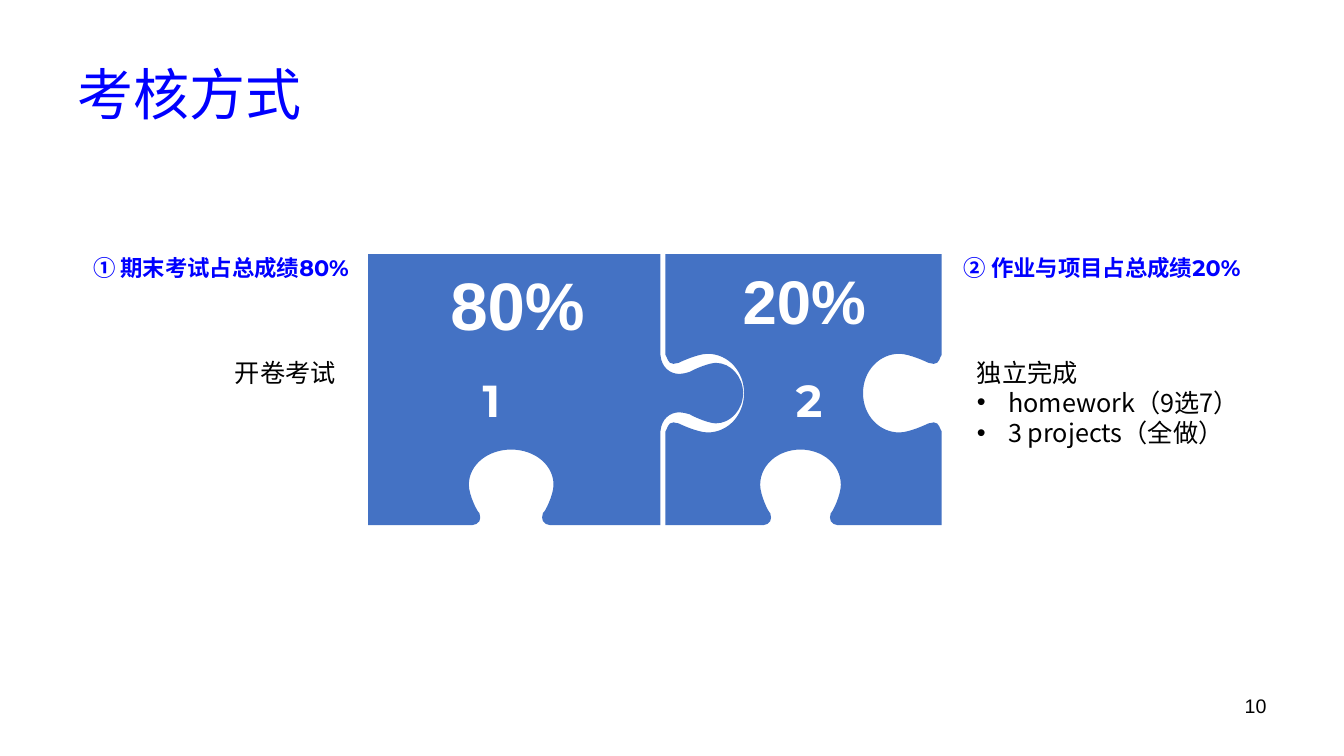
from lxml import etree
from pptx import Presentation
from pptx import util as u
from pptx.dml.color import RGBColor
from pptx.enum import text
from pptx.oxml.ns import qn

SANS = "Noto Sans CJK SC"
BLUE, WHITE, BLACK, PIECE = "0000FF", "FFFFFF", "000000", "4472C4"
LEFT, MID, RIGHT = text.PP_ALIGN.LEFT, text.PP_ALIGN.CENTER, text.PP_ALIGN.RIGHT
PAD = (0.13, 0.07)

# Half outlines of a joint as Bezier chains: (depth, distance from its axis)
SIDE = [(0, .38), (.02, .36), (.02, .29), (.08, .29), (.09, .29), (.11, .3), (.13, .3),
        (.15, .31), (.32, .39), (.42, .39), (.62, .39), (.78, .22), (.78, 0)]
FOOT = [(0, .37), (0, .34), (.02, .31), (.04, .3), (.06, .29), (.09, .29), (.12, .3),
        (.13, .32), (.3, .4), (.4, .4), (.6, .4), (.75, .22), (.75, 0)]
TAB = [(0, .38), (.01, .26), (.09, .19), (.19, .19), (.22, .19), (.25, .2), (.29, .21),
       (.36, .25), (.49, .3), (.55, .3), (.7, .3), (.82, .16), (.82, 0)]


def color(code):
    return RGBColor.from_string(code)


def style(para, face, size, code, bold=False, align=LEFT, east=SANS):
    para.alignment = align
    font = para.font
    font.name, font.size, font.bold = face, u.Pt(size), bold
    font.color.rgb = color(code)
    latin = para._p.pPr.find(qn("a:defRPr")).find(qn("a:latin"))
    latin.addnext(etree.Element(qn("a:ea"), typeface=east))


def label(slide, box, lines, face, size, code, bold=False, align=LEFT,
          pad=(0, 0), east=SANS):
    frame = slide.shapes.add_textbox(*map(u.Inches, box)).text_frame
    frame.word_wrap = True
    frame.margin_left = frame.margin_right = u.Inches(pad[0])
    frame.margin_top = frame.margin_bottom = u.Inches(pad[1])
    frame.text = "\n".join(lines)
    for para in frame.paragraphs:
        style(para, face, size, code, bold, align, east)
    return frame


def bullet(para):
    props = para._p.pPr
    props.set("marL", str(u.Inches(0.31)))
    props.set("indent", str(-u.Inches(0.31)))
    props.insert(0, etree.Element(qn("a:buFont"), typeface="Arial"))
    props.insert(1, etree.Element(qn("a:buChar"), char="•"))


def joint(half, base, along, out, scale=1):
    """Bezier chain of a joint at base on an edge that runs along."""
    full = [(d, -s) for d, s in half] + half[-2::-1]
    return [tuple(base[a] + s * scale * along[a] + d * out[a] for a in (0, 1))
            for d, s in full]


def bend(shape):
    """Turn each three line points of a freeform into one Bezier curve."""
    lines = list(shape._element.iter(qn("a:lnTo")))
    for i in range(0, len(lines), 3):
        arc = etree.Element(qn("a:cubicBezTo"))
        lines[i].addprevious(arc)
        for line in lines[i:i + 3]:
            arc.append(line[0])
            line.getparent().remove(line)


def piece(slide, box, edges):
    """A puzzle piece; edges holds the joints for right, bottom and left."""
    x, y, w, h = box
    dots = []
    for corner, chain in zip([(x + w, y), (x + w, y + h), (x, y + h)], edges):
        dots += [corner] * 3
        if chain:
            dots += [chain[0]] * 3 + chain[1:]
    dots += [(x, y)] * 3
    grid = [(px * 1000, py * 1000) for px, py in dots]
    pen = slide.shapes.build_freeform(x * 1000, y * 1000, scale=u.Inches(1) / 1000)
    pen.add_line_segments(grid, close=True)
    shape = pen.convert_to_shape()
    bend(shape)
    shape.shadow.inherit = False
    shape.fill.solid()
    shape.fill.fore_color.rgb = color(PIECE)
    shape.line.fill.background()


def share(slide, box, value, size):
    frame = label(slide, box, [value], "Arial", size, WHITE, True, RIGHT, east="Arial")
    frame.word_wrap = False
    frame.vertical_anchor = text.MSO_ANCHOR.BOTTOM
    frame.paragraphs[0].space_before = u.Pt(size * 0.2)


def puzzle(slide, x, y):
    """Two interlocking pieces with their shares and numbers."""
    h, axis = 2.69, y + 1.38
    w1, w2, gap = 2.9, 2.74, 0.05
    x2 = x + w1 + gap
    down, back, up, east = (0, 1), (-1, 0), (0, -1), (1, 0)
    piece(slide, (x, y, w1, h), (
        joint(TAB, (x + w1, axis), down, east),
        joint(FOOT, (x + 1.42, y + h), back, up, 1.05), []))
    piece(slide, (x2, y, w2, h), (
        joint(SIDE, (x2 + w2, axis), down, back),
        joint(FOOT, (x2 + 1.34, y + h), back, up),
        joint(SIDE, (x2, axis), up, east)))
    share(slide, (x + 0.8, y + 0.08, 1.35, 0.81), "80%", 48)
    share(slide, (x2 + 0.75, y + 0.08, 1.24, 0.74), "20%", 44)
    for left, digit in ((x + 0.78, "1"), (x2 + 0.98, "2")):
        label(slide, (left, y + 1.11, 0.89, 0.67), [digit], "Montserrat", 32,
              WHITE, True, MID, PAD)


def note(slide, box, head, lines, face, align):
    """A heading with its details below."""
    x, y, w, h = box
    label(slide, (x, y, w, 0.27), [head], "Montserrat", 16, BLUE, True, align)
    frame = label(slide, (x, y + 0.95, w, h - 0.95), lines, face, 18, BLACK,
                  False, align, PAD)
    for para in frame.paragraphs[1:]:
        bullet(para)


def heading(slide, box, words):
    title = slide.shapes.title
    title.left, title.top, title.width, title.height = map(u.Inches, box)
    title.text_frame.text = words
    title.text_frame.vertical_anchor = text.MSO_ANCHOR.MIDDLE
    style(title.text_frame.paragraphs[0], SANS, 40, BLUE)


def main():
    deck = Presentation()
    deck.slide_width, deck.slide_height = u.Inches(13.33), u.Inches(7.5)
    slide = deck.slides.add_slide(deck.slide_layouts[5])
    heading(slide, (0.67, 0.3, 12, 1.25), "考核方式")
    puzzle(slide, 3.65, 2.52)
    note(slide, (0.82, 2.52, 2.64, 1.41), "① 期末考试占总成绩80%",
         ["开卷考试"], "Calibri", RIGHT)
    note(slide, (9.56, 2.52, 3.55, 2), "② 作业与项目占总成绩20%",
         ["独立完成", "homework（9选7）", "3 projects（全做）"], SANS, LEFT)
    # Page number
    label(slide, (9.55, 6.83, 3.11, 0.52), ["10"], "Arial", 14, BLACK,
          align=RIGHT, pad=(0.1, 0.05))
    deck.save("out.pptx")


if __name__ == "__main__":
    main()
